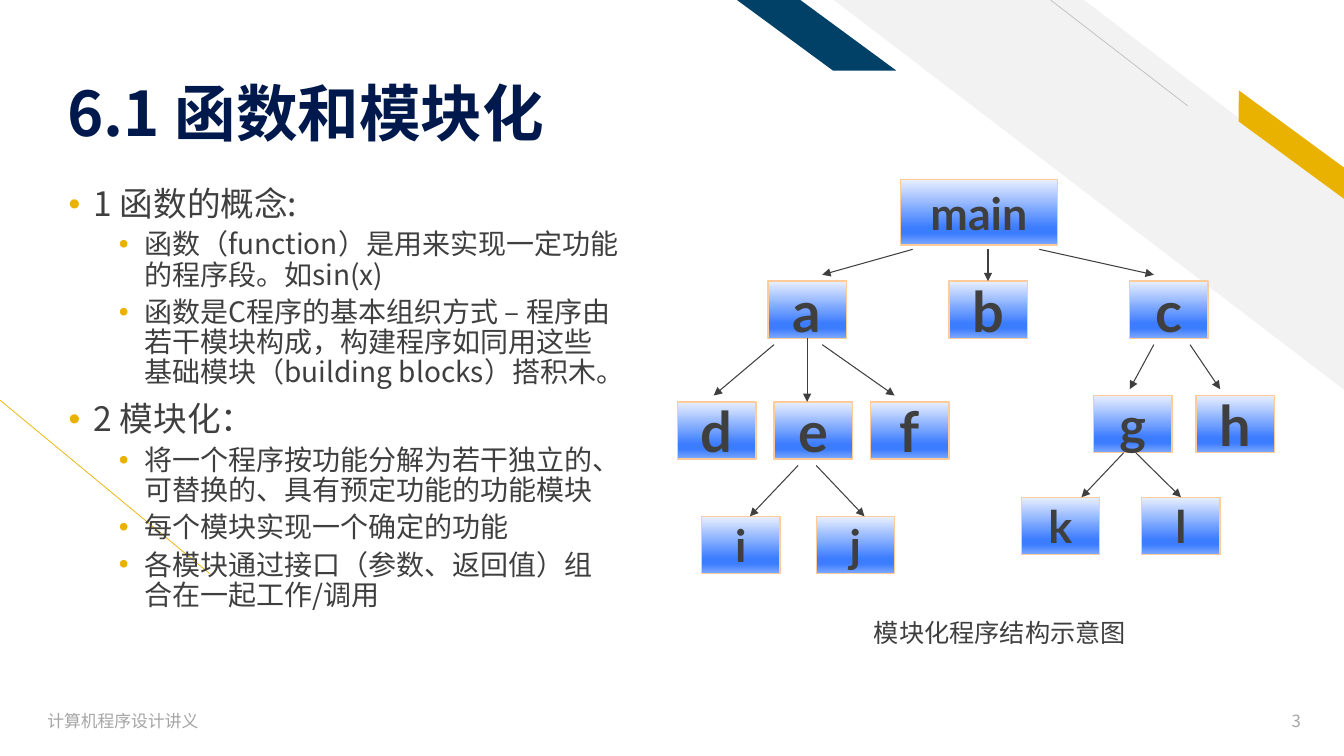
from lxml import etree
from pptx import Presentation, util as u
from pptx.dml.color import RGBColor
from pptx.enum import shapes, text
from pptx.oxml import ns

# Colours
NAVY = RGBColor(0x00, 0x19, 0x4C)
BLUE = RGBColor(0x01, 0x40, 0x67)
GOLD = RGBColor(0xEA, 0xB2, 0x00)
PEACH = RGBColor(0xFF, 0xCC, 0x99)
INK = RGBColor(0x3F, 0x3F, 0x3F)
SILVER = RGBColor(0xBF, 0xBF, 0xBF)
PALE = RGBColor(0xF2, 0xF2, 0xF2)
MUTED = RGBColor(0xA5, 0xA5, 0xA5)
NODE_STOPS = [(0, RGBColor(0xE9, 0xF0, 0xFF)), (74, RGBColor(0x3C, 0x7C, 0xFF)),
              (83, RGBColor(0x3C, 0x7C, 0xFF)), (100, RGBColor(0x7D, 0xA8, 0xFF))]

CJK = "Noto Sans CJK SC"
LEFT, MIDDLE = text.PP_ALIGN.LEFT, text.MSO_ANCHOR.MIDDLE

# Slide size, and the grid of the call tree
WIDTH, HEIGHT = u.Inches(13.33), u.Inches(7.5)
TREE_X, TREE_Y = u.Inches(6.72), u.Inches(1.78)
COL, ROW = u.Inches(5.92) / 99, u.Inches(3.91) / 62
NODE_W, NODE_H = 13, 9

# Level and wording of each list item
ITEMS = [
    (0, "1 函数的概念:"),
    (1, "函数（function）是用来实现一定功能的程序段。如sin(x)"),
    (1, "函数是C程序的基本组织方式 – 程序由若干模块构成，构建程序如同用这些基础模块（building blocks）搭积木。"),
    (0, "2 模块化："),
    (1, "将一个程序按功能分解为若干独立的、可替换的、具有预定功能的功能模块"),
    (1, "每个模块实现一个确定的功能"),
    (1, "各模块通过接口（参数、返回值）组合在一起工作/调用"),
]
# Indent (inches), space before and text size (points) per level
LEVELS = [(0.25, 10, 24), (0.75, 5, 20)]

# Name: column, row, text size
NODES = {
    "a": (15, 16, 40), "b": (45, 16, 40), "c": (75, 16, 40),
    "d": (0, 35, 40), "e": (16, 35, 40), "f": (32, 35, 40),
    "g": (69, 34, 36), "h": (86, 34, 40),
    "i": (4, 53, 32), "j": (23, 53, 32), "k": (57, 50, 32), "l": (77, 50, 32),
}
# Start column and row, end column and row, nodes joined at start and end
CALLS = [
    (51.5, 11, 51.5, 16, None, "b"), (39, 11, 24, 15, None, None),
    (60, 11, 79, 15, None, None), (21.5, 25, 21.5, 35, "a", None),
    (16, 26, 6, 34, None, None), (24, 26, 36, 34, None, None),
    (79, 26, 75, 33, None, None), (85, 26, 90, 33, None, None),
    (76, 43, 83.5, 50, None, "l"), (74, 43, 67, 50, None, None),
    (20, 45, 12, 53, None, None), (23, 45, 31, 53, None, None),
]


def share(x, y, *size):
    """Percentages of the slide, alternately of its width and height."""
    return [int(v * side / 100)
            for v, side in zip((x, y, *size), (WIDTH, HEIGHT) * 2)]


def cell(col, row):
    return int(TREE_X + col * COL), int(TREE_Y + row * ROW)


def place(s, box):
    s.left, s.top, s.width, s.height = box


def add_run(p, words, size, color, font=CJK, bold=False):
    r = p.add_run()
    r.text = words
    r.font.size, r.font.bold = u.Pt(size), bold
    r.font.color.rgb = color
    r.font.name = font
    ea = etree.SubElement(r.font._element, ns.qn("a:ea"))
    ea.set("typeface", CJK)


def add_label(slide, box, words, size, color, font=CJK, align=LEFT, wrap=True):
    tf = slide.shapes.add_textbox(*box).text_frame
    tf.word_wrap, tf.vertical_anchor = wrap, MIDDLE
    tf.paragraphs[0].alignment = align
    add_run(tf.paragraphs[0], words, size, color, font)


def add_band(slide, kind, box, color, adjust, turn=0):
    s = slide.shapes.add_shape(kind, *box)
    s.adjustments[0], s.rotation = adjust, turn
    s._element.spPr.xfrm.set("flipH", "1")
    s.shadow.inherit = False
    s.fill.solid()
    s.fill.fore_color.rgb = color
    s.line.fill.background()


def add_line(slide, start, end, color, width, arrow=False):
    c = slide.shapes.add_connector(shapes.MSO_CONNECTOR.STRAIGHT, *start, *end)
    c.line.color.rgb, c.line.width = color, u.Pt(width)
    spPr = c._element.spPr
    if arrow:
        tail = etree.SubElement(spPr.find(ns.qn("a:ln")), ns.qn("a:tailEnd"))
        tail.set("type", "triangle")
    etree.SubElement(spPr, ns.qn("a:effectLst"))
    return c


def add_node(slide, name, col, row, size, cols=NODE_W, rows=NODE_H):
    s = slide.shapes.add_shape(shapes.MSO_SHAPE.RECTANGLE, *cell(col, row),
                               int(cols * COL), int(rows * ROW))
    s.shadow.inherit = False
    s.line.color.rgb, s.line.width = PEACH, u.Pt(1)
    # Four-stop gradient from top to bottom
    s.fill.gradient()
    s.fill.gradient_angle = 270
    stops = s._element.spPr.find(".//" + ns.qn("a:gsLst"))
    stops[:] = []
    for pos, color in NODE_STOPS:
        gs = etree.SubElement(stops, ns.qn("a:gs"), pos=str(pos * 1000))
        etree.SubElement(gs, ns.qn("a:srgbClr"), val=str(color))
    tf = s.text_frame
    tf.word_wrap, tf.vertical_anchor = False, MIDDLE
    tf.paragraphs[0].alignment = text.PP_ALIGN.CENTER
    add_run(tf.paragraphs[0], name, size, INK, "Lato", True)
    return s


def add_item(p, level, words):
    indent, before, size = LEVELS[level]
    p.level, p.alignment = level, LEFT
    p.line_spacing, p.space_before = 0.9, u.Pt(before)
    pPr = p._p.get_or_add_pPr()
    pPr.set("marL", str(u.Inches(indent)))
    pPr.set("indent", str(-u.Inches(0.25)))
    color = etree.SubElement(pPr, ns.qn("a:buClr"))
    etree.SubElement(color, ns.qn("a:srgbClr"), val=str(GOLD))
    etree.SubElement(pPr, ns.qn("a:buFont"), typeface="Arial")
    etree.SubElement(pPr, ns.qn("a:buChar"), char="•")
    add_run(p, words, size, INK)


def add_decoration(slide):
    kinds = shapes.MSO_SHAPE
    add_line(slide, share(15.6, 75.87), share(0, 52.93), GOLD, 0.5)
    add_band(slide, kinds.DIAGONAL_STRIPE, share(62.04, 0, 38, 51.6), PALE, 0.51)
    add_line(slide, share(88.37, 14), share(78.17, 0), SILVER, 0.5)
    add_band(slide, kinds.PARALLELOGRAM, share(90.55, 17.47, 11.1, 3.33),
             GOLD, 0.72, 36.3)
    add_band(slide, kinds.PARALLELOGRAM, share(54.84, 0, 11.85, 9.33), BLUE, 1.36)


def fill_title(title):
    place(title, share(4.28, 3.07, 68.34, 16.8))
    tf = title.text_frame
    tf.vertical_anchor, tf.margin_bottom = text.MSO_ANCHOR.BOTTOM, 0
    tf.auto_size = text.MSO_AUTO_SIZE.NONE
    p = tf.paragraphs[0]
    p.alignment, p.line_spacing = LEFT, 0.9
    add_run(p, "6.1 函数和模块化", 44, NAVY, bold=True)


def fill_body(body):
    place(body, share(4.35, 24.13, 42.54, 66))
    tf = body.text_frame
    tf.auto_size = text.MSO_AUTO_SIZE.NONE
    for n, (level, words) in enumerate(ITEMS):
        add_item(tf.add_paragraph() if n else tf.paragraphs[0], level, words)


def add_call_tree(slide):
    add_node(slide, "main", 37, 0, 32, cols=26, rows=10.3)
    nodes = {name: add_node(slide, name, *at) for name, at in NODES.items()}
    for x1, y1, x2, y2, caller, callee in CALLS:
        c = add_line(slide, cell(x1, y1), cell(x2, y2), INK, 0.75, arrow=True)
        if caller:
            c.begin_connect(nodes[caller], 2)
        if callee:
            c.end_connect(nodes[callee], 0)


def main():
    prs = Presentation()
    prs.slide_width, prs.slide_height = WIDTH, HEIGHT
    slide = prs.slides.add_slide(prs.slide_layouts[1])
    title, body = slide.placeholders
    add_decoration(slide)
    # Title and list, in front of the decoration
    for s in (title, body):
        slide.shapes._spTree.append(s._element)
    fill_title(title)
    fill_body(body)
    # Diagram and its caption
    add_call_tree(slide)
    add_label(slide, share(64.29, 80.93, 20.71, 5.33), "模块化程序结构示意图",
              18, INK, "Calibri", wrap=False)
    # Footer
    add_label(slide, share(2.78, 92.67, 33.76, 5.33), "计算机程序设计讲义", 12, MUTED)
    add_label(slide, share(91.45, 92.67, 6.08, 5.33), "3", 12, MUTED,
              align=text.PP_ALIGN.RIGHT)
    prs.save("out.pptx")


if __name__ == "__main__":
    main()
